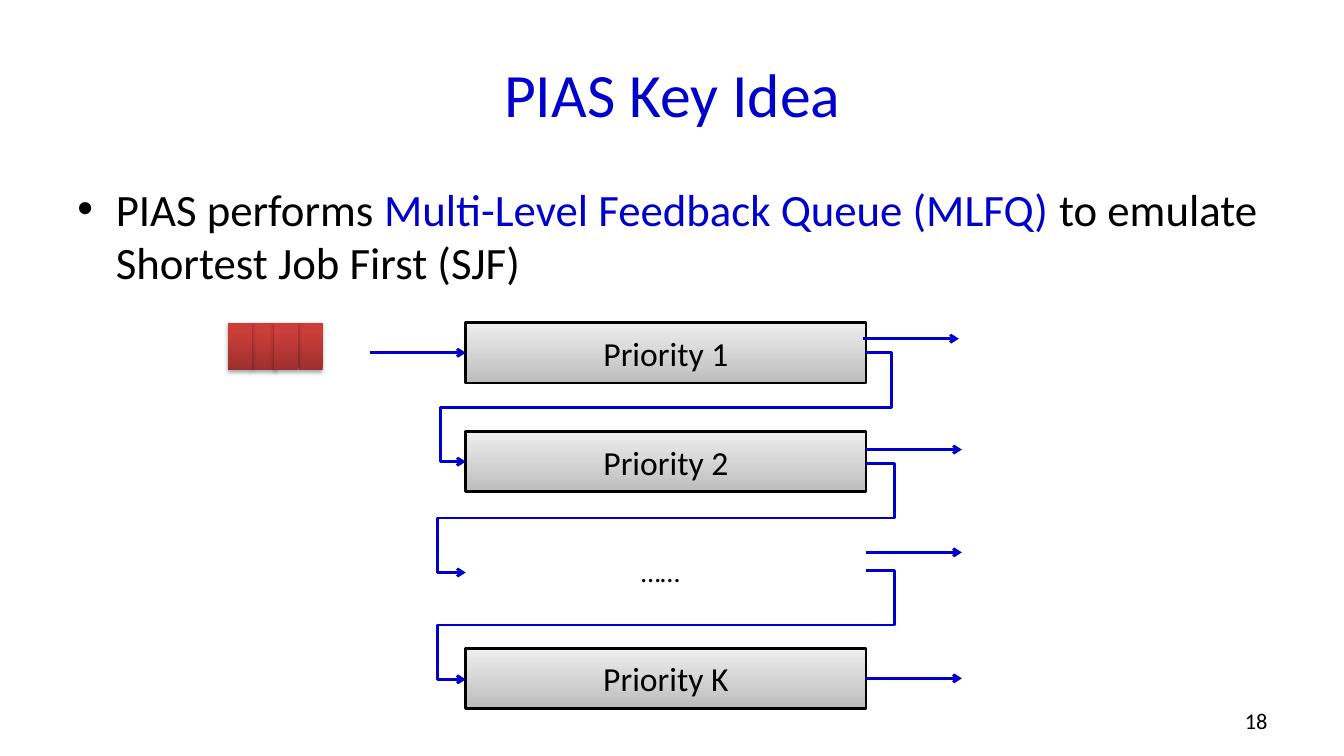
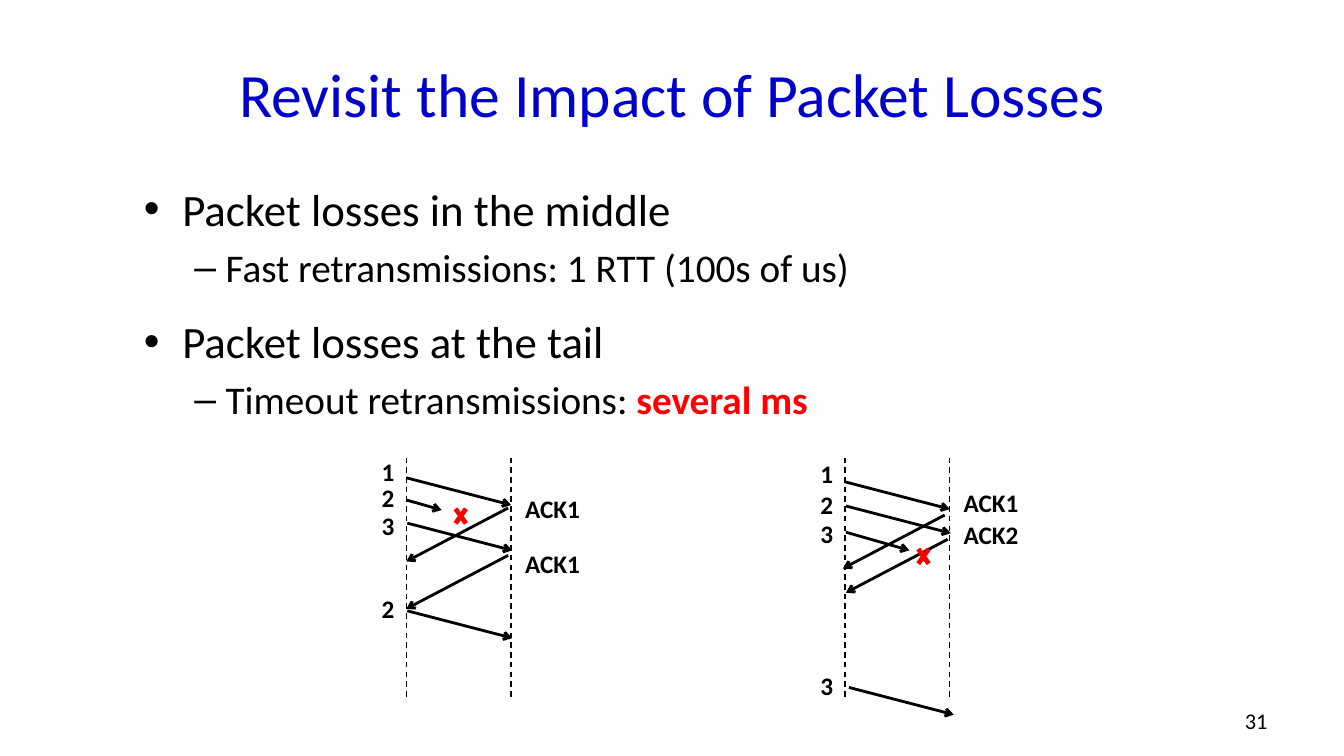
from dataclasses import dataclass

from lxml.etree import SubElement
from pptx import Presentation
from pptx.dml.color import RGBColor
from pptx.enum.dml import MSO_LINE
from pptx.enum.shapes import MSO_CONNECTOR, MSO_SHAPE
from pptx.enum.text import MSO_ANCHOR, PP_ALIGN
from pptx.oxml.ns import qn
from pptx.util import Inches, Pt


@dataclass(frozen=True)
class Theme:
    font: str = "Calibri"
    blue: str = "0000CC"
    black: str = "000000"
    red: str = "FF0000"
    grey: tuple = ((0, "BDBDBD"), (1, "EEEEEE"))
    brick: tuple = ((0, "9C2F2D"), (0.8, "CB3E3A"))
    title: int = 44
    bullet: int = 32
    dash: int = 28
    queue: int = 24
    dots: int = 20
    label: int = 18
    page: int = 16
    thick: int = 2
    thin: int = 1


THEME = Theme()


def color(code):
    return RGBColor.from_string(code)


def style(run, size, code=THEME.black, bold=False):
    font = run.font
    font.name, font.size, font.bold = THEME.font, Pt(size), bold
    font.color.rgb = color(code)


def write(frame, text, size, code=THEME.black, align=PP_ALIGN.CENTER, bold=False):
    frame.text = text
    para = frame.paragraphs[0]
    para.alignment = align
    style(para.runs[0], size, code, bold)


def box(slide, left, top, width, height, anchor=MSO_ANCHOR.TOP):
    frame = slide.shapes.add_textbox(
        Inches(left), Inches(top), Inches(width), Inches(height)).text_frame
    frame.word_wrap = True
    frame.vertical_anchor = anchor
    return frame


def page(deck, title, number):
    """Add a slide with the shared title and page number."""
    slide = deck.slides.add_slide(deck.slide_layouts[6])
    write(box(slide, 0.67, 0.3, 12, 1.25, MSO_ANCHOR.MIDDLE),
          title, THEME.title, THEME.blue)
    write(box(slide, 9.56, 6.95, 3.11, 0.4, MSO_ANCHOR.MIDDLE),
          number, THEME.page, align=PP_ALIGN.RIGHT)
    return slide


def bullets(slide, left, width, items):
    """Write items given as (level, space before, runs); a run is (text, color, bold)."""
    frame = box(slide, left, 1.75, width, 4.95)
    for index, (level, gap, runs) in enumerate(items):
        para = frame.add_paragraph() if index else frame.paragraphs[0]
        mark, size, indent, hang = (
            ("–", THEME.dash, 0.81, 0.31) if level
            else ("•", THEME.bullet, 0.38, 0.38))
        para.level = level
        para.space_before = Pt(gap)
        props = para._p.get_or_add_pPr()
        props.set("marL", str(Inches(indent)))
        props.set("indent", str(-Inches(hang)))
        SubElement(props, qn("a:buFont"), typeface="Arial")
        SubElement(props, qn("a:buChar"), char=mark)
        for text, code, bold in runs:
            run = para.add_run()
            run.text = text
            style(run, size, code, bold)


def line(slide, start, end, code=THEME.black, width=THEME.thick,
         dashed=False, kind=MSO_CONNECTOR.STRAIGHT):
    """Draw an arrow, or a plain dashed line."""
    link = slide.shapes.add_connector(kind, *map(Inches, (*start, *end)))
    link.line.color.rgb = color(code)
    link.line.width = Pt(width)
    if dashed:
        link.line.dash_style = MSO_LINE.DASH
    else:
        SubElement(link.line._get_or_add_ln(), qn("a:tailEnd"), type="arrow")
    SubElement(link._element.spPr, qn("a:effectLst"))
    return link


def elbow(slide, start, end, stub):
    """Lead from a right side back to the next left side, stub inches clear of both."""
    link = line(slide, start, end, THEME.blue, kind=MSO_CONNECTOR.ELBOW)
    geom = link._element.spPr.find(qn("a:prstGeom"))
    geom.set("prst", "bentConnector5")
    guides = geom.find(qn("a:avLst"))
    if guides is None:
        guides = SubElement(geom, qn("a:avLst"))
    part = stub / (start[0] - end[0])
    for index, value in enumerate((-part, 0.5, 1 + part), 1):
        SubElement(guides, qn("a:gd"), name=f"adj{index}",
                   fmla=f"val {round(value * 100000)}")


def shape(slide, kind, left, top, width, height):
    item = slide.shapes.add_shape(
        kind, Inches(left), Inches(top), Inches(width), Inches(height))
    item.shadow.inherit = False
    item.line.fill.background()
    return item


def shade(item, stops):
    """Fill upwards, from the first stop to the last."""
    item.fill.gradient()
    item.fill.gradient_angle = 90
    for stop, (place, code) in zip(item.fill.gradient_stops, stops):
        stop.position = place
        stop.color.rgb = color(code)


def queue(slide, left, top, width, height, text):
    item = shape(slide, MSO_SHAPE.RECTANGLE, left, top, width, height)
    shade(item, THEME.grey)
    item.line.color.rgb = color(THEME.black)
    item.line.width = Pt(THEME.thick)
    item.text_frame.vertical_anchor = MSO_ANCHOR.MIDDLE
    write(item.text_frame, text, THEME.queue)
    return item


def packet(slide, left):
    item = shape(slide, MSO_SHAPE.RECTANGLE, left, 3.2, 0.24, 0.47)
    shade(item, THEME.brick)
    effects = item._element.spPr.find(qn("a:effectLst"))
    cast = SubElement(effects, qn("a:outerShdw"), blurRad=str(Pt(3.1)),
                      dist=str(Pt(1.8)), dir="5400000", rotWithShape="0")
    tint = SubElement(cast, qn("a:srgbClr"), val=THEME.black)
    SubElement(tint, qn("a:alpha"), val="35000")


def flow(slide, left, marks, acks, sends, backs, lost, cross):
    """Draw packets between two hosts; x values count from the sender's line."""
    span, drop, rise = 1.04, 0.27, 0.53
    for x in (left, left + span):
        line(slide, (x, 4.54), (x, 6.95), width=THEME.thin, dashed=True)
    for x, y in sends:
        line(slide, (left + x, y), (left + x + span, y + drop))
    for x, y in backs:
        line(slide, (left + x + 1.01, y), (left + x, y + rise))
    x, y, run, fall = lost
    line(slide, (left + x, y), (left + x + run, y + fall))
    fault = shape(slide, MSO_SHAPE.MATH_MULTIPLY,
                  left + cross[0], cross[1], 0.2, 0.28)
    fault.fill.solid()
    fault.fill.fore_color.rgb = color(THEME.red)
    for labels, x, width in ((marks, -0.41, 0.46), (acks, 1.04, 0.82)):
        for text, y in labels:
            write(box(slide, left + x, y, width, 0.4), text, THEME.label, bold=True)


def idea(deck):
    slide = page(deck, "PIAS Key Idea", "18")
    bullets(slide, 0.67, 12, [(0, 6.4, [
        ("PIAS performs ", THEME.black, False),
        ("Multi-Level Feedback Queue (MLFQ) ", THEME.blue, False),
        ("to emulate Shortest Job First (SJF)", THEME.black, False)])])
    left, width, height = 4.62, 3.97, 0.6
    right = left + width
    first, _, last = [
        queue(slide, left, top, width, height, f"Priority {name}")
        for name, top in (("1", 3.2), ("2", 4.28), ("K", 6.43))]
    enter = line(slide, (3.67, 3.5), (left, 3.5), THEME.blue)
    enter.end_connect(first, 1)
    for y, stub in ((3.5, 0.25), (4.6, 0.28), (5.66, 0.28)):
        elbow(slide, (right, y), (left, y + 1.08), stub)
    dots = box(slide, 6.26, 5.45, 0.59, 0.44)
    dots.word_wrap = False
    write(dots, "……", THEME.dots, align=PP_ALIGN.LEFT)
    for x, y in ((8.56, 3.36), (right, 4.46), (right, 5.48), (right, 6.73)):
        leave = line(slide, (x, y), (x + 0.95, y), THEME.blue)
    leave.begin_connect(last, 3)
    for x in (2.5, 2.26, 2.96, 2.72):
        packet(slide, x)


def losses(deck):
    slide = page(deck, "Revisit the Impact of Packet Losses", "31")
    bullets(slide, 1.33, 10.83, [
        (0, 6.4, [("Packet losses in the middle", THEME.black, False)]),
        (1, 5.6, [("Fast retransmissions: 1 RTT (100s of us)", THEME.black, False)]),
        (0, 17, [("Packet losses at the tail", THEME.black, False)]),
        (1, 5.6, [("Timeout retransmissions: ", THEME.black, False),
                  ("several ms", THEME.red, True)])])
    flow(slide, 4.03,
         marks=[("1", 4.48), ("2", 4.74), ("3", 5.01), ("2", 5.84)],
         acks=[("ACK1", 4.84), ("ACK1", 5.39)],
         sends=[(0, 4.74), (0.01, 5.19), (0.01, 6.06)],
         backs=[(0, 5.04), (0, 5.51)],
         lost=(0, 4.96, 0.35, 0.1), cross=(0.44, 4.98))
    flow(slide, 8.38,
         marks=[("1", 4.5), ("2", 4.81), ("3", 5.09), ("3", 6.6)],
         acks=[("ACK1", 4.79), ("ACK2", 5.1)],
         sends=[(0, 4.78), (0.01, 5.02), (0.04, 6.82)],
         backs=[(-0.02, 5.11), (0.01, 5.35)],
         lost=(0.01, 5.28, 0.63, 0.18), cross=(0.68, 5.38))


def main():
    deck = Presentation()
    deck.slide_width, deck.slide_height = Inches(13.33), Inches(7.5)
    idea(deck)
    losses(deck)
    deck.save("out.pptx")


if __name__ == "__main__":
    main()
